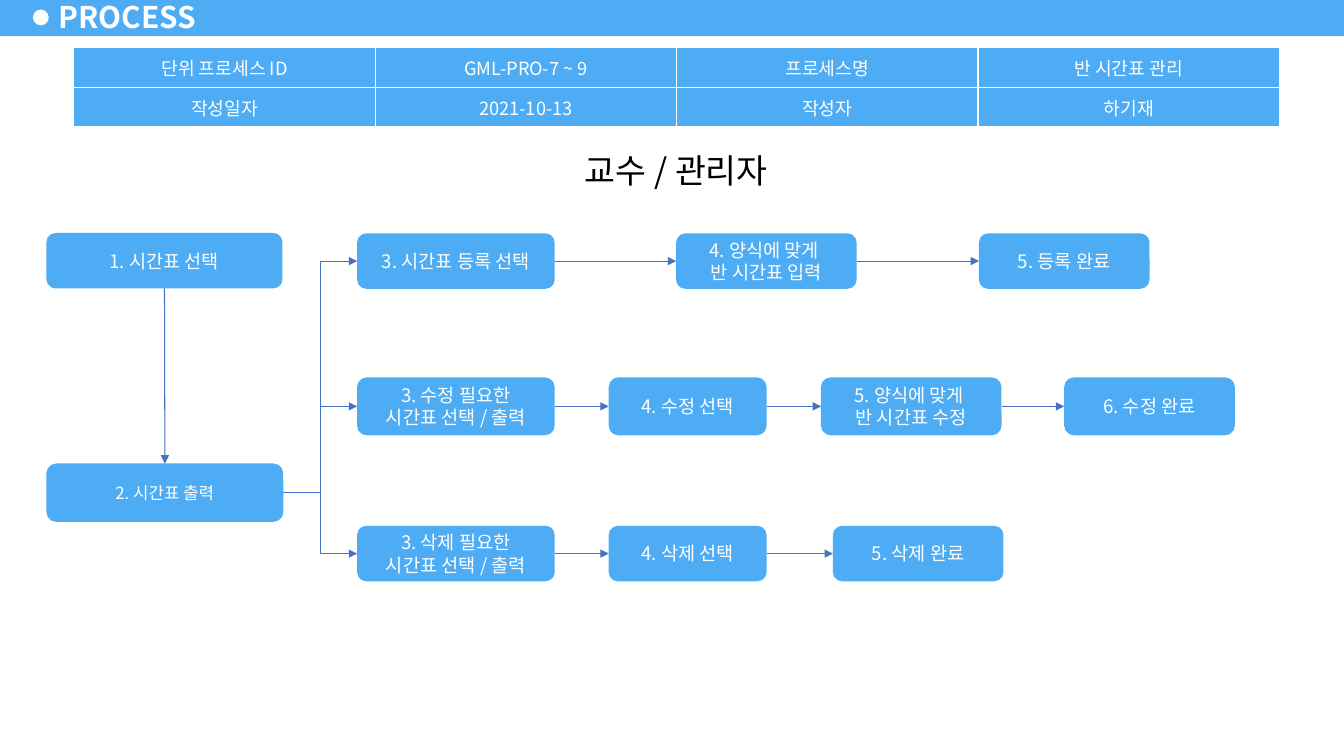
import dataclasses

import lxml.etree
import pptx
import pptx.dml.color
import pptx.enum.shapes
import pptx.enum.text
import pptx.oxml.ns
import pptx.util
from pptx.util import Cm

SKY = pptx.dml.color.RGBColor(0x4D, 0xAC, 0xF3)
LINE_BLUE = pptx.dml.color.RGBColor(0x44, 0x72, 0xC4)
WHITE = pptx.dml.color.RGBColor(0xFF, 0xFF, 0xFF)
BLACK = pptx.dml.color.RGBColor(0x00, 0x00, 0x00)
FONT = "Noto Sans CJK KR"
PRESET = pptx.enum.shapes.MSO_SHAPE
ALIGN = pptx.enum.text.PP_ALIGN
MIDDLE = pptx.enum.text.MSO_ANCHOR.MIDDLE
STRAIGHT = pptx.enum.shapes.MSO_CONNECTOR.STRAIGHT
ELBOW = pptx.enum.shapes.MSO_CONNECTOR.ELBOW
LEFT_SITE, BOTTOM_SITE, RIGHT_SITE, TOP_SITE = 1, 2, 3, 0


@dataclasses.dataclass(frozen=True)
class Step:
    """A process box; lengths in centimetres."""
    text: str
    left: float
    width: float
    top: float
    height: float
    size: float = 13.3


@dataclasses.dataclass(frozen=True)
class Lane:
    """A row of steps, each given as text, left and width."""
    top: float
    height: float
    branch_width: float
    steps: tuple[tuple[str, float, float], ...]


START = Step("1. 시간표 선택", 1.17, 5.95, 5.87, 1.4)
OUTPUT = Step("2. 시간표 출력", 1.17, 5.97, 11.68, 1.47, size=12)
LANES = (
    Lane(5.88, 1.4, 0.75, (
        ("3. 시간표 등록 선택", 9, 4.98),
        ("4. 양식에 맞게 \n반 시간표 입력", 17.04, 4.55),
        ("5. 등록 완료", 24.67, 4.3),
    )),
    Lane(9.51, 1.46, 0.5, (
        ("3. 수정 필요한 시간표 선택 / 출력", 9, 4.98),
        ("4. 수정 선택", 15.34, 3.98),
        ("5. 양식에 맞게 \n반 시간표 수정", 20.69, 4.55),
        ("6. 수정 완료", 26.82, 4.3),
    )),
    Lane(13.25, 1.4, 0.75, (
        ("3. 삭제 필요한 시간표 선택 / 출력", 9, 4.98),
        ("4. 삭제 선택", 15.34, 3.98),
        ("5. 삭제 완료", 20.99, 4.3),
    )),
)
DOCUMENT_INFO = (
    ("단위 프로세스 ID", "GML-PRO-7 ~ 9", "프로세스명", "반 시간표 관리"),
    ("작성일자", "2021-10-13", "작성자", "하기재"),
)


def add_xml(parent, tag: str, **attributes: str):
    """Append a child element and return it."""
    return lxml.etree.SubElement(parent, pptx.oxml.ns.qn(tag), attributes)


def write(frame, text: str, size: float, color, align=ALIGN.CENTER, bold: bool = False) -> None:
    """Fill a text frame, one paragraph per line of text."""
    frame.text = text
    for paragraph in frame.paragraphs:
        paragraph.alignment = align
        font = paragraph.font
        font.name, font.size, font.bold = FONT, pptx.util.Pt(size), bold
        font.color.rgb = color
        defaults = paragraph._p.pPr.find(pptx.oxml.ns.qn("a:defRPr"))
        add_xml(defaults, "a:ea", typeface=FONT)


def set_margins(target, horizontal: float, vertical: float) -> None:
    """Set the inner margins of a text frame or a table cell."""
    target.margin_left = target.margin_right = Cm(horizontal)
    target.margin_top = target.margin_bottom = Cm(vertical)


def add_block(slide, preset, left: float, top: float, width: float, height: float, fill):
    """Add a flat shape without outline."""
    shape = slide.shapes.add_shape(preset, Cm(left), Cm(top), Cm(width), Cm(height))
    shape.shadow.inherit = False
    shape.fill.solid()
    shape.fill.fore_color.rgb = fill
    shape.line.fill.background()
    return shape


def add_step(slide, step: Step):
    """Add a rounded process box."""
    shape = add_block(slide, PRESET.ROUNDED_RECTANGLE,
                      step.left, step.top, step.width, step.height, SKY)
    frame = shape.text_frame
    frame.word_wrap, frame.vertical_anchor = True, MIDDLE
    set_margins(frame, 0.34, 0.17)
    write(frame, step.text, step.size, WHITE)
    return shape


def connect(slide, kind, source, source_site: int, target, target_site: int,
            width: float = 0.75) -> None:
    """Join two boxes with an arrow."""
    connector = slide.shapes.add_connector(kind, 0, 0, 0, 0)
    connector.begin_connect(source, source_site)
    connector.end_connect(target, target_site)
    connector.line.color.rgb = LINE_BLUE
    connector.line.width = pptx.util.Pt(width)
    add_xml(connector.line._get_or_add_ln(), "a:tailEnd", type="triangle")
    add_xml(connector._element.spPr, "a:effectLst")


def add_header(slide) -> None:
    """Add the title band, its dot and the title."""
    add_block(slide, PRESET.RECTANGLE, 0, -0.05, 33.87, 0.96, SKY)
    add_block(slide, PRESET.OVAL, 0.83, 0.24, 0.4, 0.4, WHITE)
    title = slide.shapes.title
    title._element.getparent().append(title._element)
    title.left, title.top, title.width, title.height = Cm(1.2), Cm(-0.13), Cm(4.15), Cm(1.1)
    frame = title.text_frame
    frame.auto_size = pptx.enum.text.MSO_AUTO_SIZE.NONE
    frame.vertical_anchor = MIDDLE
    set_margins(frame, 0.28, 0.15)
    write(frame, "PROCESS", 21.3, WHITE, ALIGN.LEFT, bold=True)


def add_document_info(slide) -> None:
    """Add the table that identifies the process."""
    table = slide.shapes.add_table(len(DOCUMENT_INFO), len(DOCUMENT_INFO[0]),
                                   Cm(1.86), Cm(1.2), Cm(30.38), Cm(1.9)).table
    table.first_row = table.horz_banding = False
    for row, texts in enumerate(DOCUMENT_INFO):
        for column, text in enumerate(texts):
            cell = table.cell(row, column)
            set_margins(cell, 0.34, 0.17)
            cell.vertical_anchor = MIDDLE
            write(cell.text_frame, text, 13, WHITE)
            properties = cell._tc.get_or_add_tcPr()
            for side in ("a:lnL", "a:lnR", "a:lnT", "a:lnB"):
                border = add_xml(properties, side, w=str(pptx.util.Pt(1)))
                add_xml(add_xml(border, "a:solidFill"), "a:srgbClr", val=str(WHITE))
            cell.fill.solid()
            cell.fill.fore_color.rgb = SKY


def add_flow(slide) -> None:
    """Add the process boxes and the arrows between them."""
    start, output = add_step(slide, START), add_step(slide, OUTPUT)
    connect(slide, STRAIGHT, start, BOTTOM_SITE, output, TOP_SITE)
    for lane in LANES:
        boxes = [add_step(slide, Step(text, left, width, lane.top, lane.height))
                 for text, left, width in lane.steps]
        connect(slide, ELBOW, output, RIGHT_SITE, boxes[0], LEFT_SITE, lane.branch_width)
        for source, target in zip(boxes, boxes[1:]):
            connect(slide, STRAIGHT, source, RIGHT_SITE, target, LEFT_SITE)


def main() -> None:
    """Build and save the slide."""
    presentation = pptx.Presentation()
    presentation.slide_width, presentation.slide_height = Cm(33.87), Cm(19.05)
    slide = presentation.slides.add_slide(presentation.slide_layouts.get_by_name("Title Only"))
    add_header(slide)
    actors = add_block(slide, PRESET.RECTANGLE, 11, 3.61, 12.09, 1.37, WHITE)
    actors.text_frame.vertical_anchor = pptx.enum.text.MSO_ANCHOR.TOP
    set_margins(actors.text_frame, 0.34, 0.17)
    write(actors.text_frame, "교수 / 관리자", 24, BLACK)
    add_document_info(slide)
    add_flow(slide)
    presentation.save("out.pptx")


main()
